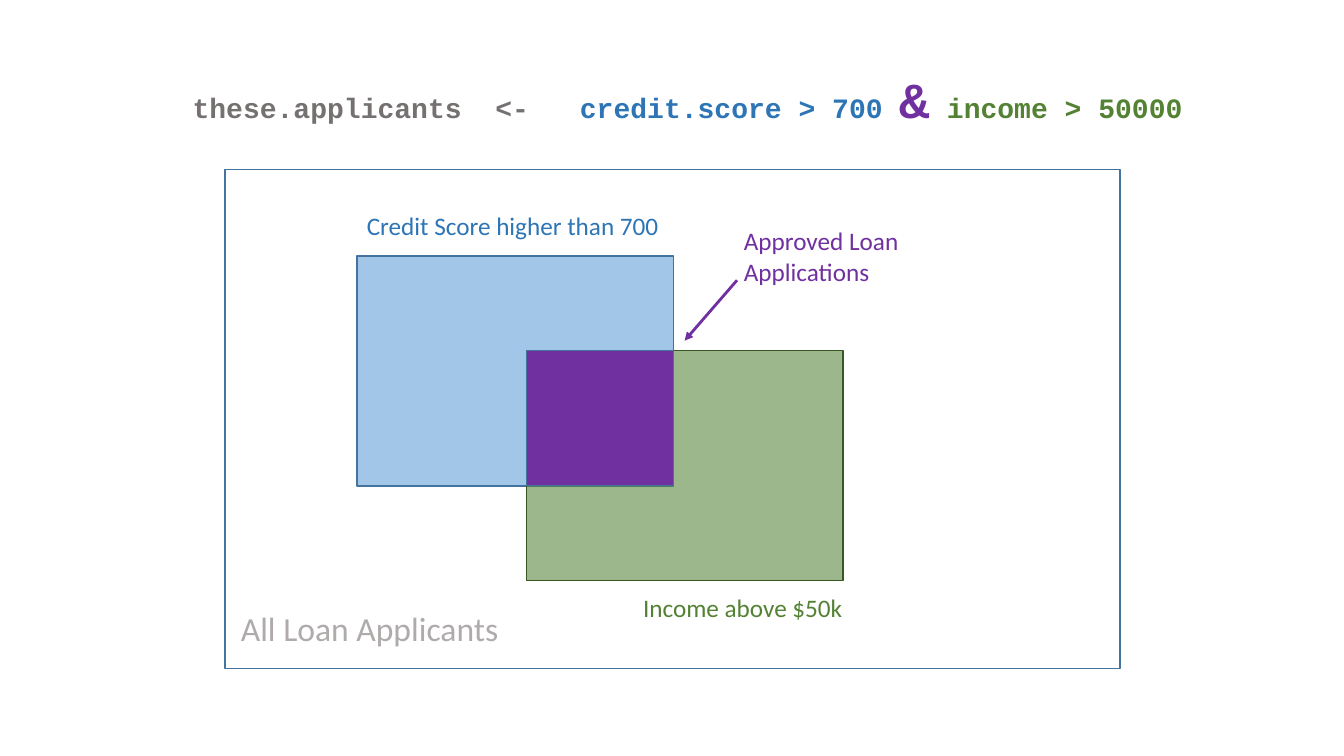
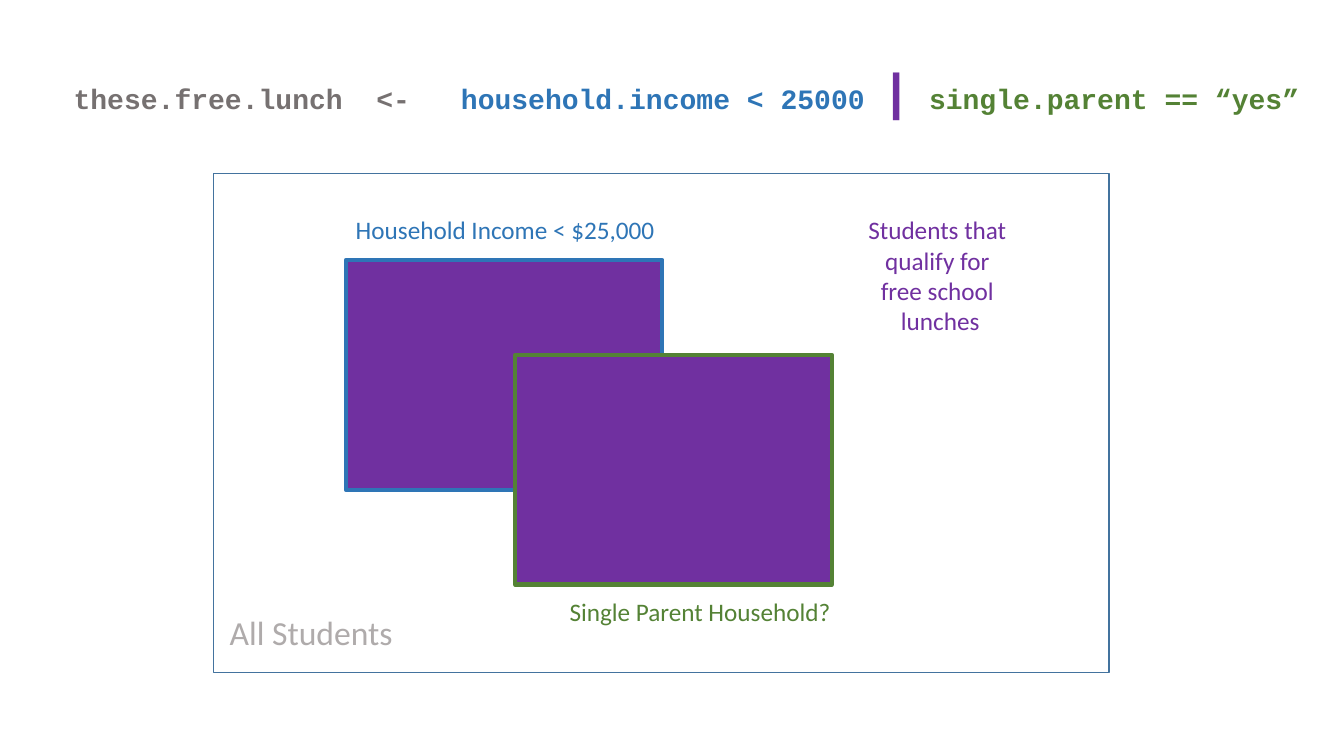
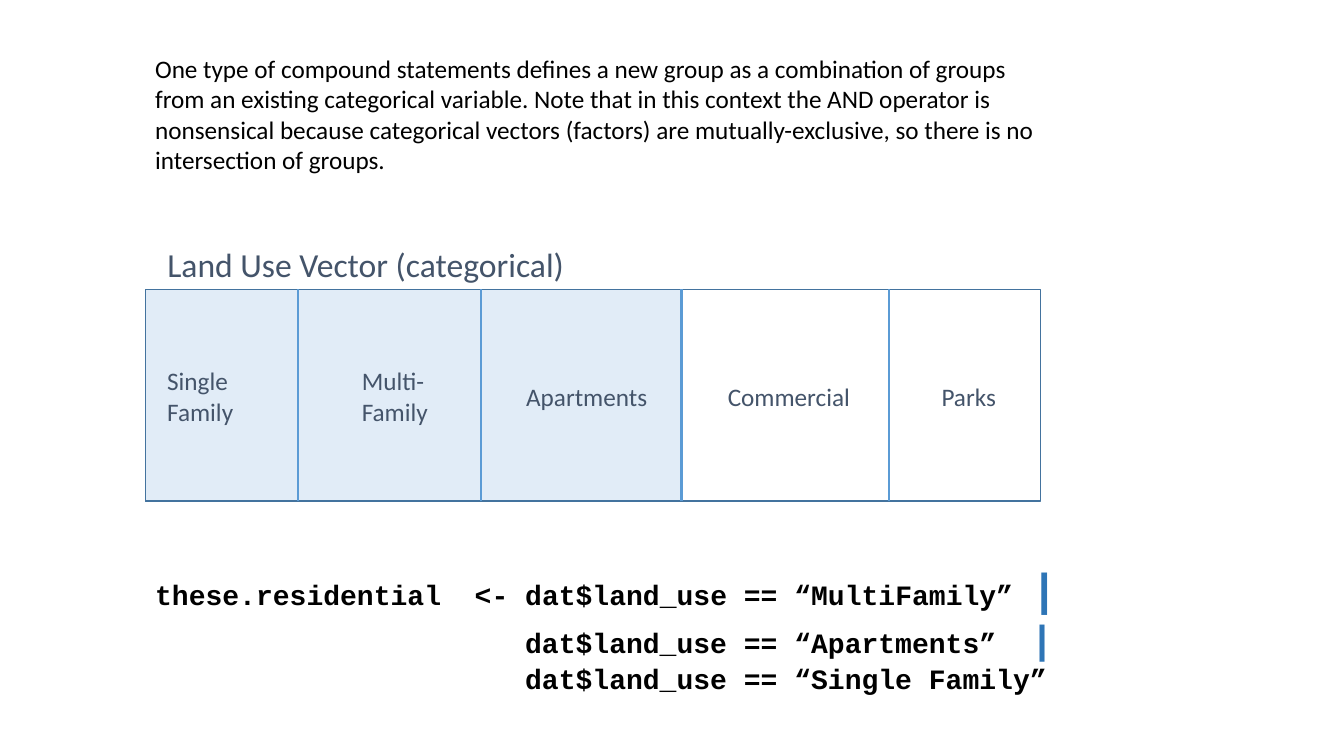
"""Build three slides on compound logical statements."""
from lxml.etree import SubElement
from pptx import Presentation
from pptx.dml.color import RGBColor
from pptx.enum.shapes import MSO_CONNECTOR as LINK, MSO_SHAPE as SHAPE
from pptx.enum.text import MSO_ANCHOR as ANCHOR, MSO_AUTO_SIZE as FIT, PP_ALIGN as ALIGN
from pptx.oxml.ns import qn
from pptx.util import Inches, Pt

BLUE, GREEN, PURPLE = "2E75B6", "548235", "7030A0"
SKY, EDGE, MOSS = "5B9BD5", "43739E", "385723"
GREY, PALE, SLATE, BLACK = "767171", "AFABAB", "44546A", "000000"
BODY, CODE = "Calibri", "Courier New"
CELL = (3.14, 2.28)


def tint(code):
    return RGBColor.from_string(code)


class Deck:
    def __init__(self):
        self.show = Presentation()
        self.show.slide_width = Inches(13.33)
        self.show.slide_height = Inches(7.5)

    def start(self, box, runs, face):
        self.slide = self.show.slides.add_slide(self.show.slide_layouts[5])
        title = self.slide.shapes.title
        title.left, title.top, title.width, title.height = map(Inches, box)
        self.put(title, [runs], face)

    def put(self, shape, paras, face=BODY, wrap=False, align=ALIGN.LEFT, hang=0):
        frame = shape.text_frame
        frame.word_wrap = wrap
        frame.auto_size = FIT.SHAPE_TO_FIT_TEXT
        frame.vertical_anchor = ANCHOR.TOP
        for i, runs in enumerate(paras):
            para = frame.paragraphs[0] if i == 0 else frame.add_paragraph()
            para.alignment = align
            para.line_spacing = 1.0
            para.space_before = Pt(0)
            if i and hang:
                para._p.get_or_add_pPr().set("marL", str(Inches(hang)))
            for text, color, size in runs:
                for j, part in enumerate(text.split("\n")):
                    if j:
                        para.add_line_break()
                    run = para.add_run()
                    run.text = part
                    run.font.name = face
                    run.font.size = Pt(size)
                    run.font.bold = face == CODE
                    run.font.color.rgb = tint(color)

    def text(self, box, paras, **style):
        self.put(self.slide.shapes.add_textbox(*map(Inches, box)), paras, **style)

    def label(self, box, text, color, size=18, **style):
        self.text(box, [[(text, color, size)]], **style)

    def rect(self, box, fill=None, line=EDGE, width=1, alpha=None):
        shape = self.slide.shapes.add_shape(SHAPE.RECTANGLE, *map(Inches, box))
        shape.shadow.inherit = False
        shape.line.color.rgb = tint(line)
        shape.line.width = Pt(width)
        if fill is None:
            shape.fill.background()
            return
        shape.fill.solid()
        shape.fill.fore_color.rgb = tint(fill)
        if alpha:
            color = shape._element.spPr.find(qn("a:solidFill"))[0]
            SubElement(color, qn("a:alpha"), val=str(alpha * 1000))

    def line(self, start, end, color, width, arrow=False):
        link = self.slide.shapes.add_connector(
            LINK.STRAIGHT, *map(Inches, (*start, *end)))
        link.line.color.rgb = tint(color)
        link.line.width = Pt(width)
        props = link._element.spPr
        if arrow:
            SubElement(props.find(qn("a:ln")), qn("a:tailEnd"), type="triangle")
        SubElement(props, qn("a:effectLst"))

    def venn(self, x, y, whole, first, second, cells):
        self.rect((x, y, 8.88, 4.95))
        for (dx, dy, wide, high), text, color, size in (
                ((0.06, 4.3, whole[1], 0.5), whole[0], PALE, 24),
                ((1.31, 0.36, first[1], 0.4), first[0], BLUE, 18),
                ((6.25 - second[1], 4.15, second[1], 0.4), second[0], GREEN, 18)):
            self.label((x + dx, y + dy, wide, high), text, color, size)
        for (dx, dy), look in zip(((1.31, 0.86), (2.99, 1.8)), cells):
            self.rect((x + dx, y + dy, *CELL), **look)


deck = Deck()

deck.start((1.81, 0.63, 10.27, 0.71), [
    ("these.applicants  <-   ", GREY, 20), ("credit.score > 700 ", BLUE, 20),
    ("&", PURPLE, 36), (" ", BLACK, 20), ("income > 50000 ", GREEN, 20)], CODE)
deck.venn(2.23, 1.68, ("All Loan Applicants", 2.78),
          ("Credit Score higher than 700", 3.13), ("Income above $50k", 2.2),
          (dict(fill=SKY, alpha=57), dict(fill=GREEN, line=MOSS, alpha=57)))
deck.rect((5.22, 3.48, 1.46, 1.34), PURPLE)
deck.line((7.31, 2.78), (6.79, 3.38), PURPLE, 2, arrow=True)
deck.label((7.28, 2.19, 1.81, 0.71), "Approved Loan \nApplications", PURPLE)

deck.start((0.63, 0.54, 12.45, 0.71), [
    ("these.free.lunch  <-   ", GREY, 20), ("household.income < 25000 ", BLUE, 20),
    ("|", PURPLE, 36), (" ", BLACK, 20), ("single.parent == “yes”", GREEN, 20)], CODE)
deck.venn(2.12, 1.72, ("All Students", 1.83),
          ("Household Income < $25,000", 3.2), ("Single Parent Household?", 2.82),
          [dict(fill=PURPLE, line=color, width=3) for color in (BLUE, GREEN)])
deck.label((8.07, 2.08, 2.51, 1.31),
           "Students that \nqualify for \nfree school \nlunches", PURPLE,
           wrap=True, align=ALIGN.CENTER)

deck.start((1.56, 2.37, 4.17, 0.5), [("Land Use Vector (categorical)", SLATE, 24)], BODY)
left, top, high = 1.44, 2.87, 2.1
deck.rect((left, top, 5.32, high), SKY, alpha=18)
deck.rect((left, top, 8.88, high))
for x, width in ((2.96, 1.5), (4.77, 1.5), (6.76, 1.75), (8.82, 1.25)):
    deck.line((x, top), (x, top + high), SKY, width)
for x, wide, *words in (
        (1.56, 0.86, "Single", "Family"), (3.49, 0.86, "Multi-", "Family"),
        (5.12, 1.41, "Apartments"), (7.12, 1.43, "Commercial"), (9.24, 0.74, "Parks")):
    tall = 0.1 + 0.3 * len(words)
    deck.text((x, 3.93 - tall / 2, wide, tall), [[(word, SLATE, 18)] for word in words])
deck.text((left, 5.51, 9.39, 1.45), [
    [("these.residential  <- dat$land_use == “MultiFamily” ", BLACK, 20),
     ("|", BLUE, 32), (" ", BLACK, 20)],
    [("dat$land_use == “Apartments”  ", BLACK, 20), ("|", BLUE, 28)],
    [("dat$land_use == “Single Family”", BLACK, 20)]], face=CODE, hang=3.67)
deck.label((left, 0.48, 9, 1.31),
           "One type of compound statements defines a new group as a combination of "
           "groups from an existing categorical variable. Note that in this context "
           "the AND operator is nonsensical because categorical vectors (factors) are "
           "mutually-exclusive, so there is no intersection of groups. ",
           BLACK, wrap=True)

deck.show.save("out.pptx")
